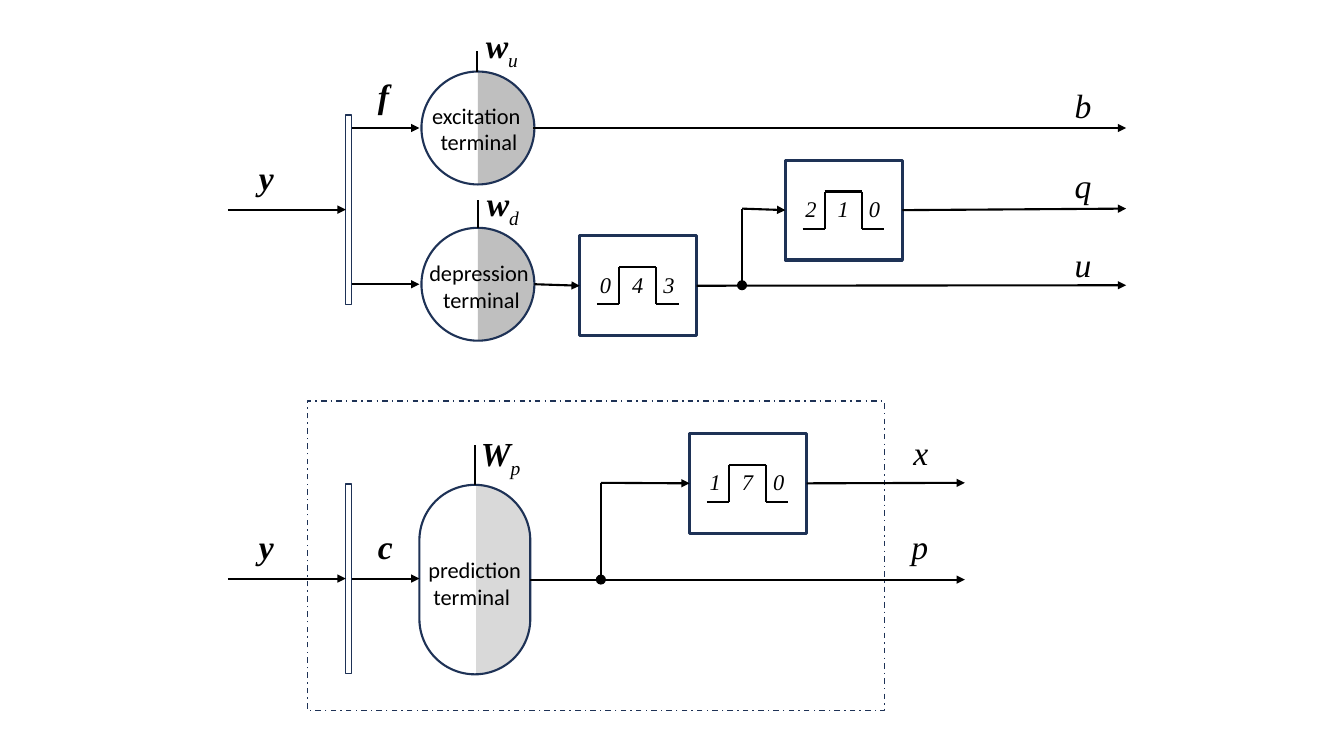
from dataclasses import dataclass
from itertools import pairwise

from lxml import etree
from pptx import Presentation
from pptx.dml.color import RGBColor
from pptx.enum.dml import MSO_LINE
from pptx.enum.shapes import MSO_CONNECTOR, MSO_SHAPE
from pptx.enum.text import MSO_AUTO_SIZE, PP_ALIGN
from pptx.oxml.ns import qn
from pptx.util import Inches, Pt

RECT, OVAL, PIE = MSO_SHAPE.RECTANGLE, MSO_SHAPE.OVAL, MSO_SHAPE.PIE
CAPSULE = MSO_SHAPE.ROUNDED_RECTANGLE
STRAIGHT, DASH_DOT = MSO_CONNECTOR.STRAIGHT, MSO_LINE.DASH_DOT
LEFT, CENTER = PP_ALIGN.LEFT, PP_ALIGN.CENTER
FIT = MSO_AUTO_SIZE.SHAPE_TO_FIT_TEXT
LEFT_SIDE, RIGHT_SIDE = 1, 3


@dataclass(frozen=True)
class Theme:
    ink: RGBColor = RGBColor(0x00, 0x00, 0x00)
    navy: RGBColor = RGBColor(0x1E, 0x32, 0x56)
    white: RGBColor = RGBColor(0xFF, 0xFF, 0xFF)
    gray: RGBColor = RGBColor(0xBF, 0xBF, 0xBF)
    pale: RGBColor = RGBColor(0xD9, 0xD9, 0xD9)
    math: str = "Times New Roman"
    body: str = "Calibri"
    symbol: Pt = Pt(24)
    small: Pt = Pt(16)
    wire: Pt = Pt(1.5)


theme = Theme()
deck = Presentation()
deck.slide_width, deck.slide_height = Inches(13.33), Inches(7.5)
page = deck.slides.add_slide(deck.slide_layouts[6])


def add_shape(kind, left, top, width, height, fill=None, outline=None):
    shape = page.shapes.add_shape(
        kind, Inches(left), Inches(top), Inches(width), Inches(height))
    shape.shadow.inherit = False
    if fill is None:
        shape.fill.background()
    else:
        shape.fill.solid()
        shape.fill.fore_color.rgb = fill
    if outline is None:
        shape.line.fill.background()
    else:
        shape.line.color.rgb = theme.navy
        shape.line.width = Pt(outline)
    return shape


def add_wire(start, end, arrow=False, source=None, target=None):
    wire = page.shapes.add_connector(
        STRAIGHT, *(Inches(value) for value in (*start, *end)))
    wire.line.color.rgb = theme.ink
    wire.line.width = theme.wire
    if arrow:
        line = wire.line._get_or_add_ln()
        etree.SubElement(line, qn("a:tailEnd"), type="triangle")
    etree.SubElement(wire._element.spPr, qn("a:effectLst"))
    if source is not None:
        wire.begin_connect(source, RIGHT_SIDE)
    if target is not None:
        wire.end_connect(target, LEFT_SIDE)


frame = add_shape(RECT, 3.05, 3.98, 5.72, 3.07, outline=1)
frame.line.dash_style = DASH_DOT

upper_bar, lower_bar = [
    add_shape(RECT, 3.43, top, 0.06, 1.88, theme.white, 1) for top in (1.14, 4.8)]

for top in (0.71, 2.26):
    add_shape(OVAL, 4.18, top, 1.12, 1.12, theme.white)
    half = add_shape(PIE, 4.18, top, 1.12, 1.12, theme.gray)
    half.adjustments[0], half.adjustments[1] = 162, 54
    add_shape(OVAL, 4.18, top, 1.12, 1.12, outline=1.5)

add_shape(CAPSULE, 4.16, 4.8, 1.1, 1.88, theme.pale).adjustments[0] = 0.5
add_shape(RECT, 4.16, 4.8, 0.56, 1.89, theme.white)
add_shape(CAPSULE, 4.16, 4.81, 1.1, 1.88, outline=1.5).adjustments[0] = 0.5

labels = []
pulse_boxes = []
pulse_outline = [(0.17, 0.68), (0.39, 0.68), (0.39, 0.31),
                 (0.76, 0.31), (0.76, 0.68), (0.98, 0.68)]
for left, top, digits in [(5.75, 2.34, "043"), (7.79, 1.59, "210"), (6.84, 4.3, "170")]:
    pulse_boxes.append(add_shape(RECT, left, top, 1.16, 0.99, theme.white, 2.25))
    corners = [(left + dx, top + dy) for dx, dy in pulse_outline]
    for start, end in pairwise(corners):
        add_wire(start, end)
    for dx, digit in zip((0.1, 0.42, 0.73), digits):
        labels.append((left + dx, top + 0.3, 0.31, 0.37, digit, "", False, theme.small))
depression_box, q_box, x_box = pulse_boxes

for start, end, source, target in [
    ((2.26, 2.08), (3.43, 2.08), None, upper_bar),
    ((3.49, 1.27), (4.16, 1.27), None, None),
    ((3.49, 2.82), (4.16, 2.82), None, None),
    ((5.29, 1.27), (11.17, 1.27), None, None),
    ((5.3, 2.82), (5.75, 2.82), None, depression_box),
    ((6.91, 2.83), (11.17, 2.83), depression_box, None),
    ((7.36, 2.07), (7.79, 2.07), None, q_box),
    ((8.95, 2.07), (11.17, 2.07), q_box, None),
    ((2.26, 5.74), (3.43, 5.74), None, lower_bar),
    ((3.49, 5.74), (4.16, 5.74), lower_bar, None),
    ((5.26, 5.75), (9.57, 5.75), None, None),
    ((5.96, 4.79), (6.84, 4.79), None, x_box),
    ((8, 4.79), (9.57, 4.79), x_box, None),
]:
    add_wire(start, end, True, source, target)

for x, top, bottom in [(4.73, 0.51, 0.71), (4.74, 1.98, 2.26), (4.71, 4.41, 4.81),
                       (7.36, 2.07, 2.82), (5.96, 4.79, 5.74)]:
    add_wire((x, bottom), (x, top))

for left, top in [(7.31, 2.78), (5.91, 5.7)]:
    add_shape(OVAL, left, top, 0.1, 0.1, theme.ink)

for left, top, width, symbol, subscript, bold in [
    (2.47, 1.51, 0.35, "y", "", True),
    (3.65, 0.69, 0.31, "f", "", True),
    (4.72, 0.2, 0.54, "w", "u", True),
    (4.73, 1.77, 0.54, "w", "d", True),
    (10.56, 0.79, 0.37, "b", "", False),
    (10.56, 1.59, 0.37, "q", "", False),
    (10.56, 2.37, 0.37, "u", "", False),
    (2.47, 5.17, 0.35, "y", "", True),
    (3.65, 5.17, 0.35, "c", "", True),
    (4.67, 4.25, 0.61, "W", "p", True),
    (8.96, 4.24, 0.35, "x", "", False),
    (8.94, 5.17, 0.37, "p", "", False),
]:
    labels.append((left, top, width, 0.5, symbol, subscript, bold, theme.symbol))

for left, top, width, height, symbol, subscript, bold, size in labels:
    box = page.shapes.add_textbox(Inches(left), Inches(top), Inches(width), Inches(height))
    box.text_frame.word_wrap = False
    box.text_frame.auto_size = FIT
    para = box.text_frame.paragraphs[0]
    para.font.name, para.font.size = theme.math, size
    para.font.italic, para.font.bold = True, bold
    para.font.color.rgb = theme.ink
    para.add_run().text = symbol
    if subscript:
        span = para.add_run()
        span.text = subscript
        span.font.bold = False
        span._r.get_or_add_rPr().set("baseline", "-25000")

for left, top, width, lines, align in [
    (4.18, 0.96, 1.14, ("excitation ", "terminal"), CENTER),
    (4.15, 2.52, 1.25, ("depression ", "terminal"), CENTER),
    (4.15, 5.47, 1.13, ("prediction", " terminal"), LEFT),
]:
    box = page.shapes.add_textbox(Inches(left), Inches(top), Inches(width), Inches(0.64))
    box.text_frame.word_wrap = False
    box.text_frame.auto_size = FIT
    box.text_frame.text = "\n".join(lines)
    for para in box.text_frame.paragraphs:
        para.alignment = align
        para.font.name, para.font.size = theme.body, theme.small
        para.font.color.rgb = theme.ink

deck.save("out.pptx")
